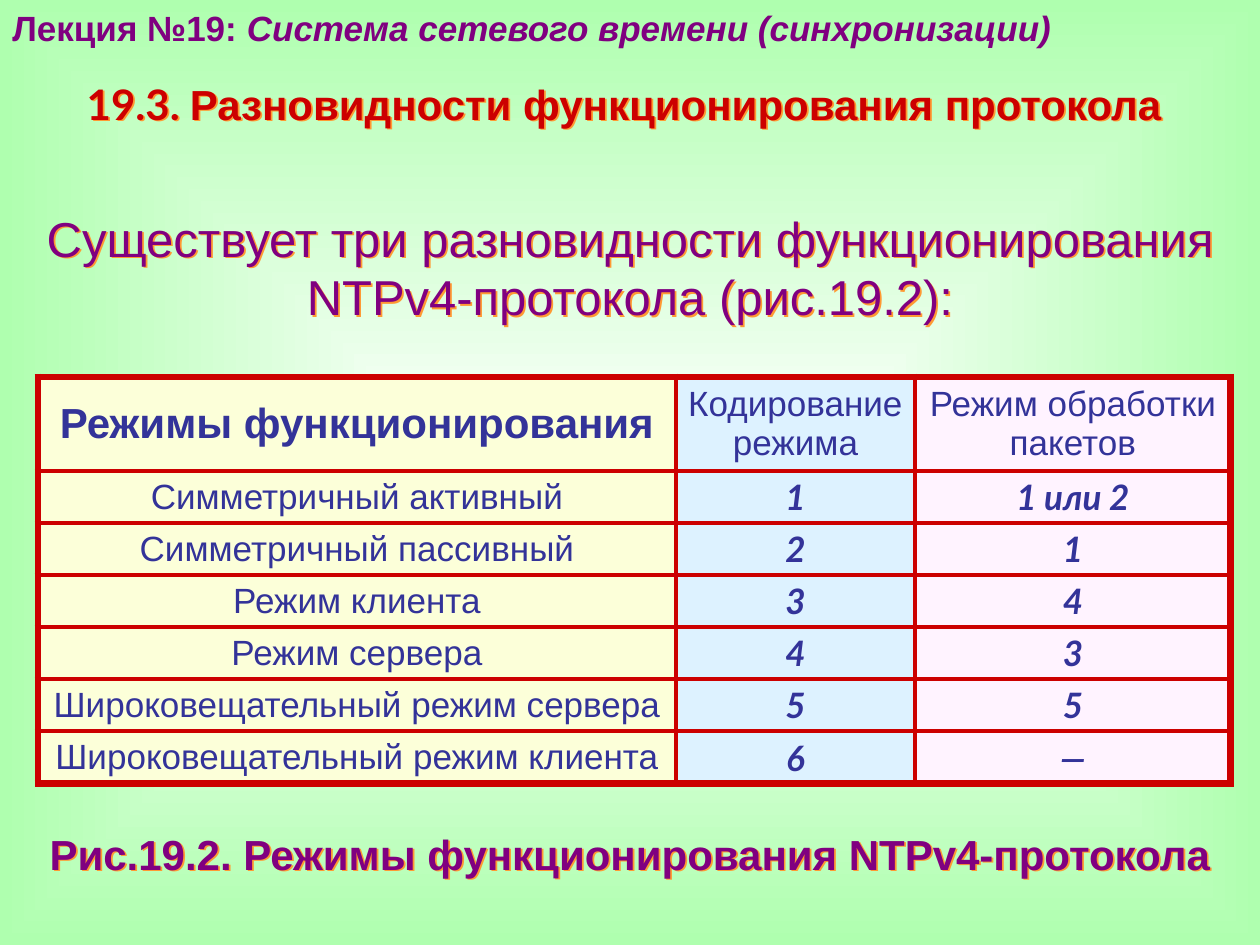
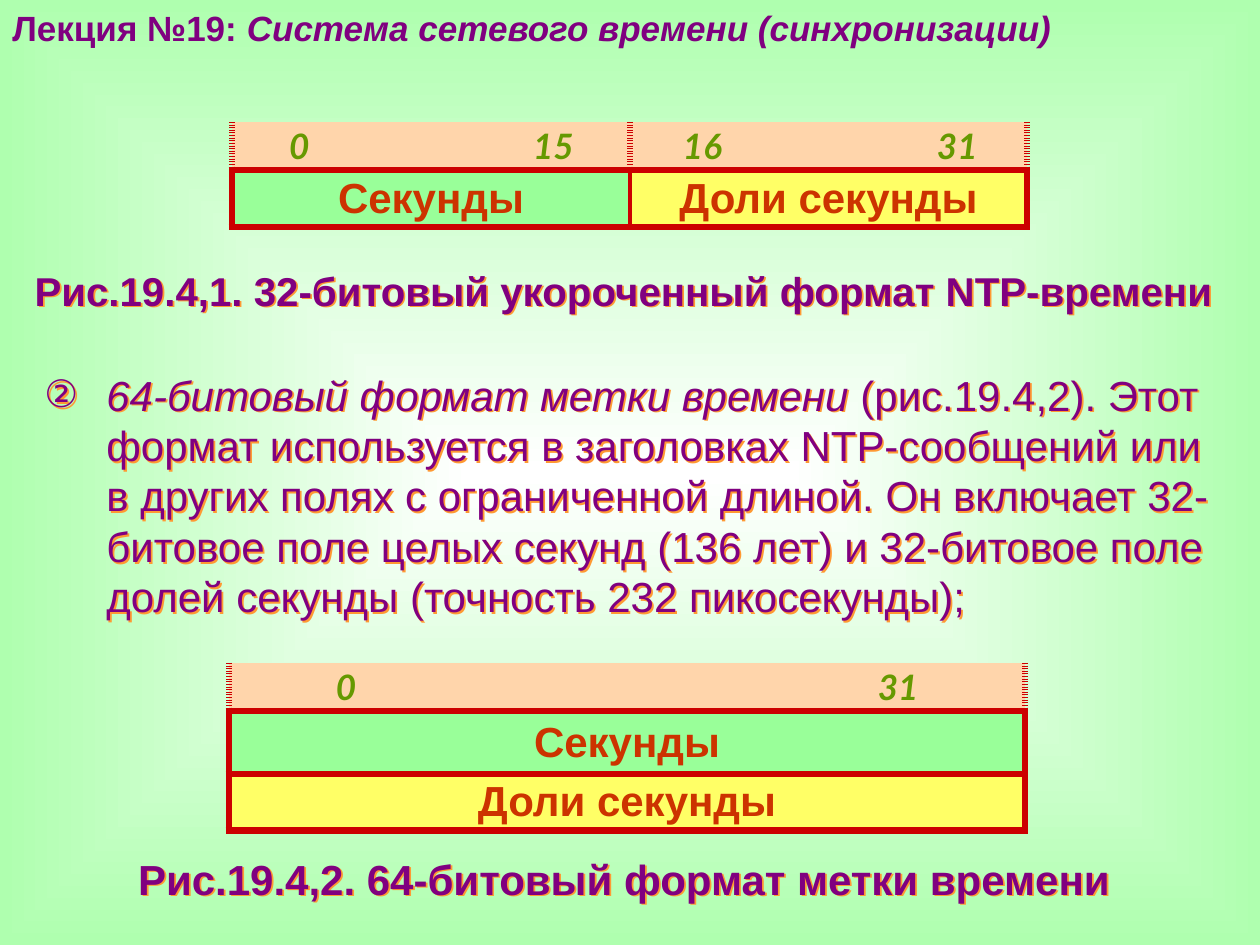
from pptx import Presentation
from pptx.dml.color import RGBColor
from pptx.enum.text import MSO_ANCHOR as ANCHOR, MSO_AUTO_SIZE as AUTO, PP_ALIGN as ALIGN
from pptx.oxml.ns import qn
from pptx.util import Emu, Pt
from lxml.etree import SubElement

PURPLE, RED, ORANGE, NAVY = "800080", "CC0000", "FF9933", "333399"
OLIVE, RUST, PEACH, GREEN, YELLOW = "669900", "CC3300", "FFD5AB", "99FF99", "FFFF66"
COLUMN_FILLS = ["FCFFD9", "DDF2FF", "FFF3FF"]
ARIAL, LATO = "Arial", "Lato"
THICK, THIN = 4.5, 3
NO_STYLE = "{2D5ABB26-0587-4C30-8999-92F81FD0307C}"
WIDTH, HEIGHT = 1260, 945

MODES = [
    ("Режимы функционирования", "Кодирование\nрежима", "Режим обработки пакетов"),
    ("Симметричный активный", "1", "1 или 2"),
    ("Симметричный пассивный", "2", "1"),
    ("Режим клиента", "3", "4"),
    ("Режим сервера", "4", "3"),
    ("Широковещательный режим сервера", "5", "5"),
    ("Широковещательный режим клиента", "6", "—"),
]


def px(n):
    return Emu(round(n * 914400 / 126))


def rgb(value):
    return RGBColor.from_string(value)


def sub(parent, tag, **attrs):
    return SubElement(parent, qn(tag), {k: str(v) for k, v in attrs.items()})


def style_run(r, size, color, style="", font=ARIAL):
    r.font.size = Pt(size)
    r.font.name = font
    r.font.color.rgb = rgb(color)
    r.font.bold = "b" in style
    r.font.italic = "i" in style


def add_glow(sp):
    effects = sub(sp._element.spPr, "a:effectLst")
    shadow = sub(effects, "a:outerShdw", dist=17961, dir=2700000, algn="ctr", rotWithShape=0)
    sub(shadow, "a:srgbClr", val=ORANGE)


def add_text(slide, box, runs, size, color=PURPLE, align=ALIGN.CENTER, glow=True):
    sp = slide.shapes.add_textbox(*map(px, box))
    tf = sp.text_frame
    tf.word_wrap = True
    tf.auto_size = AUTO.SHAPE_TO_FIT_TEXT
    p = tf.paragraphs[0]
    p.alignment = align
    for text, *look in runs:
        r = p.add_run()
        r.text = text
        style_run(r, size, color, *look)
    if glow:
        add_glow(sp)
    return tf


def add_caption(slide, box, text, size=24):
    tf = add_text(slide, box, [(text, "b")], size)
    tf.margin_left = tf.margin_right = tf.margin_top = tf.margin_bottom = 0
    tf.vertical_anchor = ANCHOR.MIDDLE
    tf.paragraphs[0].line_spacing = 0.9


def add_header(slide):
    runs = [("Лекция №19: ", "b"), ("Система сетевого времени (синхронизации)", "bi")]
    add_text(slide, (0, 0, WIDTH, 54), runs, 20, align=ALIGN.LEFT, glow=False)


def add_grid(slide, left, top, widths, heights):
    box = map(px, (left, top, sum(widths), sum(heights)))
    table = slide.shapes.add_table(len(heights), len(widths), *box).table
    table.first_row = table.horz_banding = False
    table._tbl.tblPr.find(qn("a:tableStyleId")).text = NO_STYLE
    for column, width in zip(table.columns, widths):
        column.width = px(width)
    for row, height in zip(table.rows, heights):
        row.height = px(height)
    return table


def set_borders(cell, left, right, top, bottom, side_dash="solid"):
    tcPr = cell._tc.get_or_add_tcPr()
    for side, width in zip("LRTB", (left, right, top, bottom)):
        if width:
            ln = sub(tcPr, f"a:ln{side}", w=Pt(width))
            sub(sub(ln, "a:solidFill"), "a:srgbClr", val=RED)
            sub(ln, "a:prstDash", val=side_dash if side in "LR" else "solid")


def set_cell(cell, text, fill, margins, size, color, style="", font=ARIAL, tab=None):
    cell.fill.solid()
    cell.fill.fore_color.rgb = rgb(fill)
    cell.vertical_anchor = ANCHOR.MIDDLE
    cell.margin_left, cell.margin_right, cell.margin_top, cell.margin_bottom = map(px, margins)
    cell.text_frame.text = text
    for p in cell.text_frame.paragraphs:
        p.alignment = ALIGN.CENTER
        if tab:
            p.alignment = ALIGN.LEFT
            tabs = sub(p._p.get_or_add_pPr(), "a:tabLst")
            sub(tabs, "a:tab", pos=px(tab), algn="l")
        for r in p.runs:
            style_run(r, size, color, style, font)


def add_modes_table(slide, left, top):
    table = add_grid(slide, left, top, [638, 239, 316], [93] + [52] * 5 + [53])
    last_row, last_col = len(MODES) - 1, len(COLUMN_FILLS) - 1
    for i, row in enumerate(MODES):
        for j, text in enumerate(row):
            cell = table.cell(i, j)
            edges = (j == 0, j == last_col, i == 0, i == last_row)
            set_borders(cell, *(THICK if outer else THIN for outer in edges))
            look = ("bi", LATO) if i and j else ("" if i or j else "b", ARIAL)
            size = 20 if i or j else 24
            set_cell(cell, text, COLUMN_FILLS[j], (3, 3, 5, 5), size, NAVY, *look)


def set_ruler(cell, first, last, indent, tab):
    set_borders(cell, THICK, THICK, 0, THICK, "sysDot")
    set_cell(cell, f"{first}\t{last}", PEACH, (indent, 0, 3, 3), 20, OLIVE, "bi", LATO, tab)


def set_field(cell, text, fill, left=THICK, right=THICK):
    set_borders(cell, left, right, THICK, THICK)
    set_cell(cell, text, fill, (0, 0, 3, 3), 24, RUST, "b")


def add_short_format(slide, left, top):
    table = add_grid(slide, left, top, [398, 397], [46, 57])
    set_ruler(table.cell(0, 0), 0, 15, 57, 244)
    set_ruler(table.cell(0, 1), 16, 31, 53, 254)
    set_field(table.cell(1, 0), "Секунды", GREEN, right=THIN)
    set_field(table.cell(1, 1), "Доли секунды", YELLOW, left=THIN)


def add_stamp_format(slide, left, top):
    table = add_grid(slide, left, top, [796], [46, 63, 56])
    set_ruler(table.cell(0, 0), 0, 31, 107, 542)
    set_field(table.cell(1, 0), "Секунды", GREEN)
    set_field(table.cell(2, 0), "Доли секунды", YELLOW)


def add_numbered_text(slide, box):
    runs = [
        ("64-битовый формат метки времени", "i"),
        (" (рис.19.4,2). Этот формат используется в заголовках NTP-сообщений или в других "
         "полях с ограниченной длиной. Он включает 32-битовое поле целых секунд (136 лет) "
         "и 32-битовое поле долей секунды (точность 232 пикосекунды);",),
    ]
    tf = add_text(slide, box, runs, 24, align=ALIGN.LEFT)
    pPr = tf.paragraphs[0]._p.get_or_add_pPr()
    pPr.set("marL", str(px(62)))
    pPr.set("indent", str(px(-62)))
    sub(pPr, "a:buSzPct", val=90000)
    sub(pPr, "a:buFont", typeface=ARIAL)
    sub(pPr, "a:buChar", char="②")


def set_background(master):
    fill = master.background.fill
    fill.gradient()
    for stop, color in zip(fill.gradient_stops, ("FFFFFF", "AFFFAF")):
        stop.color.rgb = rgb(color)
    grad = master._element.find(".//" + qn("a:gradFill"))
    grad.remove(grad.find(qn("a:lin")))
    center = dict.fromkeys("ltrb", 50000)
    sub(sub(grad, "a:path", path="shape"), "a:fillToRect", **center)


def build_modes_slide(slide):
    add_header(slide)
    title = [("19.3. ", "b", LATO), ("Разновидности функционирования протокола ", "b")]
    add_text(slide, (0, 72, WIDTH, 63), title, 24, RED)
    intro = "Существует три разновидности функционирования NTPv4-протокола (рис.19.2):"
    add_text(slide, (0, 202, WIDTH, 130), [(intro,)], 28)
    add_modes_table(slide, 38, 377)
    add_caption(slide, (0, 834, WIDTH, 45), "Рис.19.2. Режимы функционирования NTPv4-протокола")


def build_formats_slide(slide):
    add_header(slide)
    add_short_format(slide, 232, 122)
    add_caption(slide, (0, 271, WIDTH, 44),
                "Рис.19.4,1. 32-битовый укороченный формат NTP-времени ", 23)
    add_numbered_text(slide, (32, 363, 1189, 265))
    add_stamp_format(slide, 229, 663)
    add_caption(slide, (0, 859, WIDTH, 45), "Рис.19.4,2. 64-битовый формат метки времени ")


def main():
    prs = Presentation()
    prs.slide_width, prs.slide_height = px(WIDTH), px(HEIGHT)
    set_background(prs.slide_master)
    for build in (build_modes_slide, build_formats_slide):
        build(prs.slides.add_slide(prs.slide_layouts[6]))
    prs.save("out.pptx")


if __name__ == "__main__":
    main()
